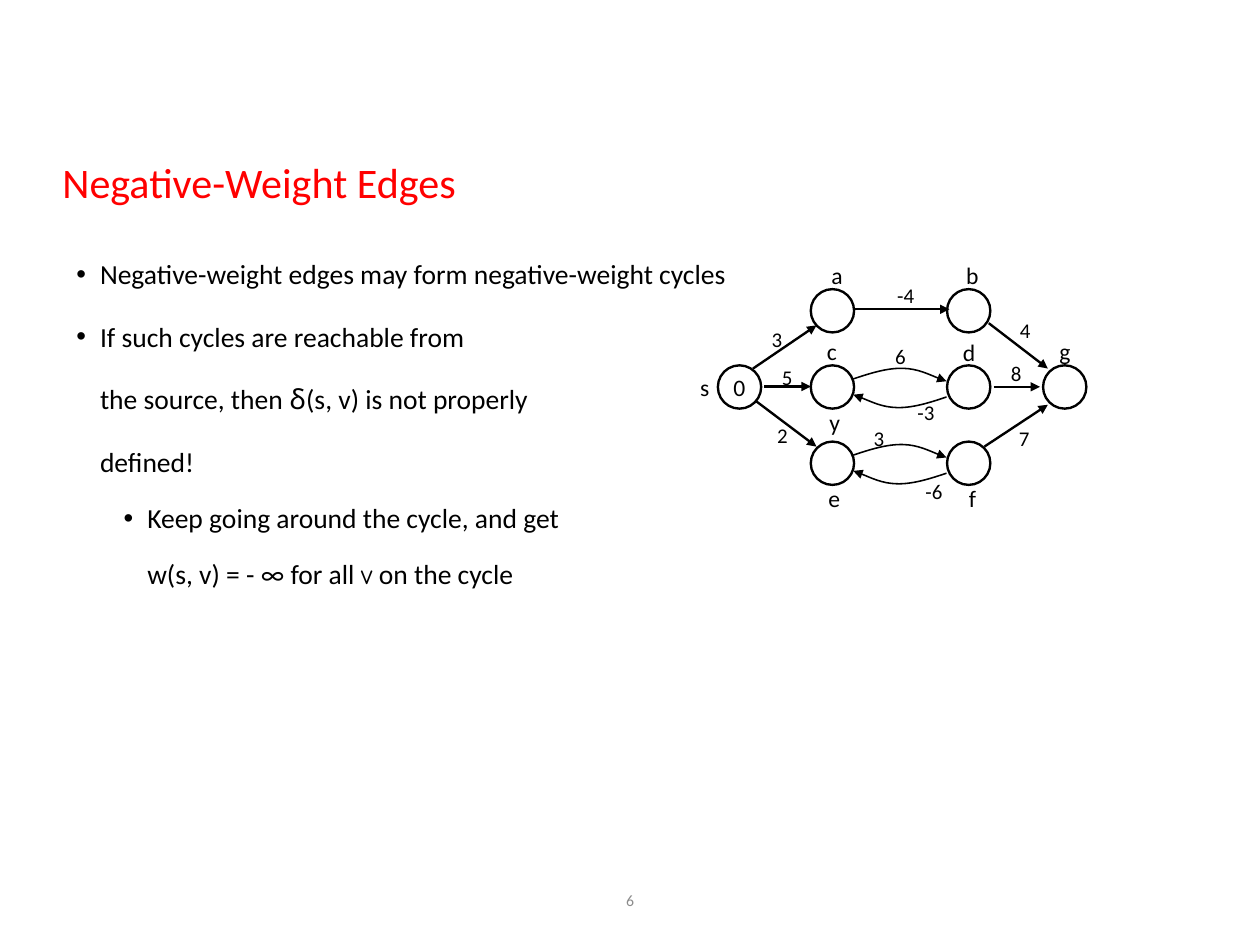
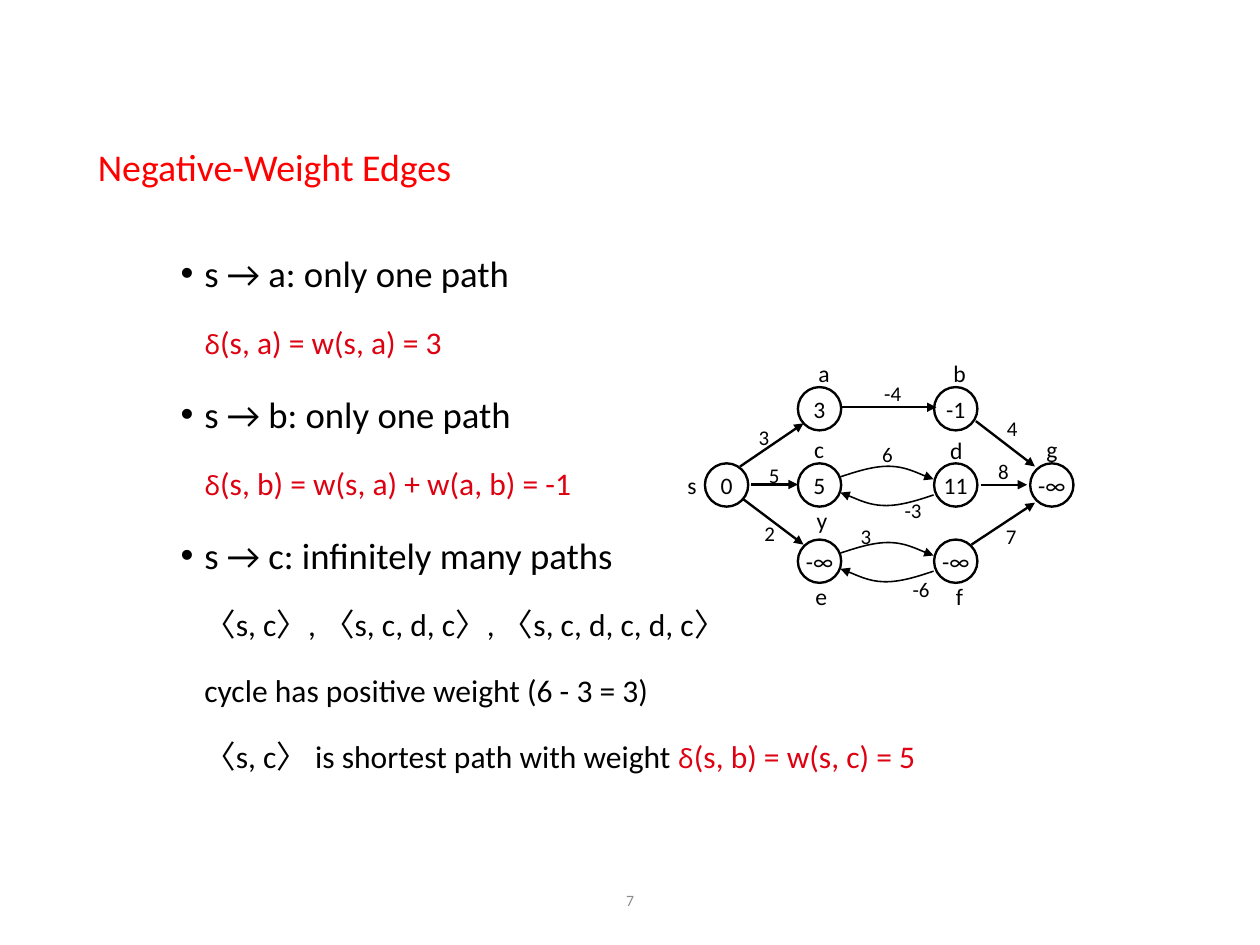
from lxml.etree import SubElement
from pptx import Presentation
from pptx.dml.color import RGBColor
from pptx.enum.shapes import MSO_CONNECTOR, MSO_SHAPE
from pptx.enum.text import MSO_ANCHOR, MSO_AUTO_SIZE, PP_ALIGN
from pptx.oxml.ns import qn
from pptx.util import Pt

BLACK, RED, CRIMSON, GRAY = "000000", "FF0000", "DD0111", "8C8C8C"
FONT, GREEK_FONT = "Calibri", "Comic Neue"
TITLE_ONLY = 5

# Graph geometry, in points from the graph's own origin
NODE_SIZE = 27.5
LABEL_WIDTH, LABEL_HEIGHT = 32, 24
COLUMNS = (0, 59, 145.5, 206.5)
ROW_STEP = 48.4
NODES = {"s": (0, 1), "a": (1, 0), "b": (2, 0), "c": (1, 1), "d": (2, 1),
         "e": (1, 2), "f": (2, 2), "g": (3, 1)}
STRAIGHT_EDGES = [
    (86.5, 12.8, 147, 12.8), (22.3, 50.4, 62.6, 23), (24.5, 71.3, 62.6, 100),
    (172, 21.6, 209.5, 50.4), (169.2, 100, 209.5, 73.4),
    (29.5, 61.8, 59, 61.8), (175, 62, 204.5, 62),
]
CURVE = [(10.8, -3.6), (21.6, -7), (31.5, -6.7), (41, -6.5), (54.5, 0), (59.2, 1.5)]
CURVE_ROWS = (1, 2)
WEIGHTS = [
    ("3", 37.4, 32), ("-4", 119.2, 4), ("2", 41, 92.5), ("8", 189.4, 53.6),
    ("-6", 137.2, 128.5), ("-3", 132.1, 78.1), ("3", 102.2, 94.7),
    ("5", 43.9, 55.8), ("6", 115.9, 42.8), ("4", 195.1, 26.3), ("7", 194.4, 94.7),
]
NAMES = [
    ("s", -8.3, 62.3), ("a", 75.6, -9), ("b", 161.6, -9), ("c", 72.4, 39.2),
    ("d", 159.5, 40), ("g", 220.3, 39.2), ("y", 74.2, 84.6),
    ("e", 73.8, 132.8), ("f", 161.6, 132.8),
]


def rgb(color):
    return RGBColor.from_string(color)


def add_run(p, text, size, color=BLACK, font=FONT):
    r = p.add_run()
    r.text = text
    r.font.size, r.font.name = Pt(size), font
    r.font.color.rgb = rgb(color)


def add_title(s, text, size, box):
    title = s.shapes.title
    title.left, title.top, title.width, title.height = map(Pt, box)
    tf = title.text_frame
    tf.auto_size = MSO_AUTO_SIZE.NONE
    tf.vertical_anchor = MSO_ANCHOR.MIDDLE
    p = tf.paragraphs[0]
    p.alignment, p.line_spacing = PP_ALIGN.LEFT, 0.9
    add_run(p, text, size, RED)


def fill_centred(tf, text, size, color=BLACK):
    tf.word_wrap = False
    tf.vertical_anchor = MSO_ANCHOR.MIDDLE
    p = tf.paragraphs[0]
    p.alignment = PP_ALIGN.CENTER
    add_run(p, text, size, color)


def add_centred_text(shapes, text, size, box, color=BLACK):
    fill_centred(shapes.add_textbox(*map(Pt, box)).text_frame, text, size, color)


def add_body(s, box, line_spacing, paragraphs):
    """Each paragraph is (level, bulleted, runs); a run is the arguments of add_run."""
    tf = s.shapes.add_textbox(*map(Pt, box)).text_frame
    tf.word_wrap = True
    for i, (level, bulleted, runs) in enumerate(paragraphs):
        p = tf.add_paragraph() if i else tf.paragraphs[0]
        p.level, p.line_spacing = level, line_spacing
        p.space_before = Pt((4.2 if level else 8.3) if i else 0)
        pPr = p._p.get_or_add_pPr()
        pPr.set("marL", str(Pt(45 if level else 15)))
        pPr.set("indent", str(Pt(-15 if bulleted else 0)))
        if bulleted:
            SubElement(pPr, qn("a:buFont")).set("typeface", "Arial")
            SubElement(pPr, qn("a:buChar")).set("char", "•")
        else:
            SubElement(pPr, qn("a:buNone"))
        for run in runs:
            add_run(p, *run)


def style_line(sp, width, arrow=False):
    sp.line.color.rgb = rgb(BLACK)
    sp.line.width = Pt(width)
    if arrow:
        ln = sp.element.spPr.get_or_add_ln()
        SubElement(ln, qn("a:tailEnd")).set("type", "triangle")


def add_node(shapes, x, y, text):
    sp = shapes.add_shape(MSO_SHAPE.OVAL, *map(Pt, (x, y, NODE_SIZE, NODE_SIZE)))
    sp.shadow.inherit = False
    sp.fill.background()
    style_line(sp, 1.5)
    if text:
        fill_centred(sp.text_frame, text, 15)


def add_arrow(shapes, x1, y1, x2, y2):
    line = shapes.add_connector(MSO_CONNECTOR.STRAIGHT, *map(Pt, (x1, y1, x2, y2)))
    style_line(line, 1.5, arrow=True)
    SubElement(line.element.spPr, qn("a:effectLst"))


def add_curved_arrow(shapes, x, y, direction):
    """Draw CURVE from (x, y); direction -1 turns it by half a circle."""
    builder = shapes.build_freeform(Pt(x), Pt(y))
    builder.add_line_segments(
        [(Pt(x + direction * dx), Pt(y + direction * dy)) for dx, dy in CURVE],
        close=False)
    sp = builder.convert_to_shape()
    outline = next(sp.element.iter(qn("a:path")))
    segments = outline.findall(qn("a:lnTo"))
    for i in range(0, len(segments), 3):
        bezier = SubElement(outline, qn("a:cubicBezTo"))
        for segment in segments[i:i + 3]:
            bezier.append(segment[0])
            outline.remove(segment)
    sp.shadow.inherit = False
    sp.fill.background()
    style_line(sp, 1, arrow=True)


def add_graph(s, x0, y0, values):
    """Draw the weighted graph; values maps node names to the text inside."""
    shapes = s.shapes.add_group_shape().shapes
    for name, (col, row) in NODES.items():
        add_node(shapes, x0 + COLUMNS[col], y0 + row * ROW_STEP, values.get(name))
    for x1, y1, x2, y2 in STRAIGHT_EDGES:
        add_arrow(shapes, x0 + x1, y0 + y1, x0 + x2, y0 + y2)
    for row in CURVE_ROWS:
        x, y = x0 + 86, y0 + row * ROW_STEP + 8.6
        add_curved_arrow(shapes, x, y, 1)
        add_curved_arrow(shapes, x + 59.2, y + 11.5, -1)
    for labels, size in ((WEIGHTS, 13.3), (NAMES, 15)):
        for text, x, y in labels:
            add_centred_text(shapes, text, size, (
                x0 + x - LABEL_WIDTH / 2, y0 + y - LABEL_HEIGHT / 2,
                LABEL_WIDTH, LABEL_HEIGHT))


def add_slide(prs, number, title_size, title_box):
    s = prs.slides.add_slide(prs.slide_layouts[TITLE_ONLY])
    add_title(s, "Negative-Weight Edges", title_size, title_box)
    add_centred_text(s.shapes, str(number), 10, (265, 556, 270, 31.7), GRAY)
    return s


def delta(rest):
    return [("δ", 16.7, CRIMSON, GREEK_FONT), (rest, 20, CRIMSON)]


def main():
    prs = Presentation()
    prs.slide_width, prs.slide_height = Pt(800), Pt(600)

    s = add_slide(prs, 6, 26.7, (32.4, 73.8, 690, 87))
    add_body(s, (41.4, 149.2, 470, 333), 1.5, [
        (0, True, [("Negative-weight edges may form negative-weight cycles", 17.5)]),
        (0, True, [("If such cycles are reachable from", 17.5)]),
        (0, False, [("the source, then ", 17.5), ("δ", 17.5, BLACK, GREEK_FONT),
                    ("(s, v) is not properly", 17.5)]),
        (0, False, [("defined!", 17.5)]),
        (1, True, [("Keep going around the cycle, and get", 17.5)]),
        (1, False, [("w(s, v) = - ∞ for all ", 17.5), ("v", 17.5, BLACK, GREEK_FONT),
                    (" on the cycle", 17.5)]),
    ])
    add_graph(s, 455.8, 183.6, {"s": "0"})

    s = add_slide(prs, 7, 24, (54.9, 90, 690, 35.3))
    add_body(s, (107.6, 144.7, 605, 359), 1.4, [
        (0, True, [("s → a: only one path", 23.3)]),
        (0, False, delta("(s, a) = w(s, a) = 3")),
        (0, True, [("s → b: only one path", 23.3)]),
        (0, False, delta("(s, b) = w(s, a) + w(a, b) = -1")),
        (0, True, [("s → c: infinitely many paths", 23.3)]),
        (0, False, [("〈s, c〉, 〈s, c, d, c〉, 〈s, c, d, c, d, c〉", 20)]),
        (0, False, [("cycle has positive weight (6 - 3 = 3)", 20)]),
        (0, False, [("〈s, c〉 is shortest path with weight ", 20)]
         + delta("(s, b) = w(s, c) = 5")),
    ])
    add_graph(s, 447.6, 245.8, {"s": "0", "a": "3", "b": "-1", "c": "5", "d": "11",
                                "e": "-∞", "f": "-∞", "g": "-∞"})

    prs.save("out.pptx")


if __name__ == "__main__":
    main()
